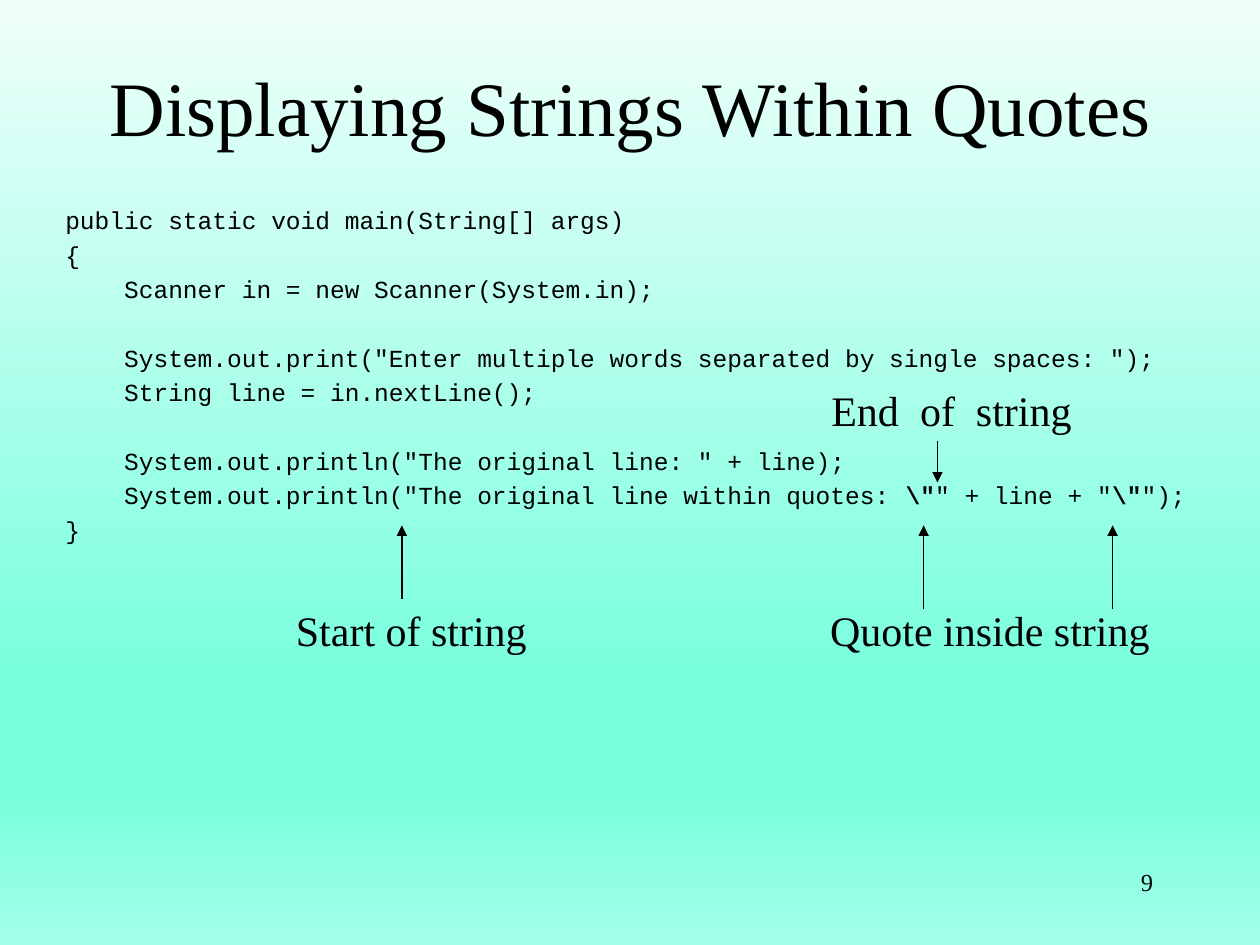
from dataclasses import dataclass

from lxml import etree
from pptx import Presentation
from pptx.dml.color import RGBColor
from pptx.enum.shapes import MSO_CONNECTOR
from pptx.enum.text import MSO_ANCHOR, PP_ALIGN
from pptx.oxml.ns import qn
from pptx.util import Inches, Pt

STRAIGHT = MSO_CONNECTOR.STRAIGHT
MIDDLE = MSO_ANCHOR.MIDDLE
LEFT, CENTER, RIGHT = PP_ALIGN.LEFT, PP_ALIGN.CENTER, PP_ALIGN.RIGHT

COLORS = {
    "text": "000000",
    "pale": "F0FFFB",
    "mint": "75FFDD",
    "light": "A3FFE8",
}
GRADIENT = [(0, "pale"), (74, "mint"), (83, "mint"), (100, "light")]
SERIF, MONO = "Times New Roman", "Courier New"

TITLE_ONLY = 5
CODE_GAP = 2.8  # points between code lines
BLANK_LINE = 19.8  # points taken by an empty code line

# Each block is set apart by an empty line; "**" switches bold on and off.
CODE_BLOCKS = [
    [
        "public static void main(String[] args)",
        "{",
        "    Scanner in = new Scanner(System.in);",
    ],
    [
        '    System.out.print("Enter multiple words separated by single spaces: ");',
        "    String line = in.nextLine();",
    ],
    [
        '    System.out.println("The original line: " + line);',
        '    System.out.println("The original line within quotes: '
        r'**\"**" + line + "**\"**");',
        "}",
    ],
]


@dataclass
class Label:
    text: str
    left: float
    top: float
    width: float


@dataclass
class Arrow:
    x: float
    start: float
    end: float


LABELS = [
    Label("End  of  string", 6.5, 3, 2.13),
    Label("Start of string", 2.25, 4.75, 2.05),
    Label("Quote inside string", 6.49, 4.75, 2.76),
]
ARROWS = [
    Arrow(7.44, 3.5, 3.83),
    Arrow(3.19, 4.75, 4.17),
    Arrow(7.33, 4.83, 4.17),
    Arrow(8.83, 4.83, 4.17),
]


def style_run(r, size: float, font: str = SERIF, bold: bool = False) -> None:
    r.font.size = Pt(size)
    r.font.name = font
    r.font.bold = bold
    r.font.color.rgb = RGBColor.from_string(COLORS["text"])


def set_background(s) -> None:
    fill = s.background.fill
    fill.gradient()
    fill.gradient_angle = 270
    stops = next(s.background._cSld.iter(qn("a:gsLst")))
    for stop in list(stops):
        stops.remove(stop)
    for percent, color in GRADIENT:
        stop = etree.SubElement(stops, qn("a:gs"), pos=str(percent * 1000))
        etree.SubElement(stop, qn("a:srgbClr"), val=COLORS[color])


def add_title(s, text: str) -> None:
    sp = s.shapes.title
    sp.left, sp.top = Inches(0.67), Inches(0.25)
    sp.width, sp.height = Inches(8.67), Inches(1.17)
    tf = sp.text_frame
    tf.text = text
    tf.vertical_anchor = MIDDLE
    p = tf.paragraphs[0]
    p.alignment = CENTER
    style_run(p.runs[0], 44)


def add_code(s) -> None:
    sp = s.shapes.add_textbox(Inches(0.42), Inches(1.58), Inches(9.33), Inches(5.5))
    tf = sp.text_frame
    tf.word_wrap = True
    for b, block in enumerate(CODE_BLOCKS):
        for i, line in enumerate(block):
            first = b == 0 and i == 0
            p = tf.paragraphs[0] if first else tf.add_paragraph()
            if not first:
                new_block = i == 0
                p.space_before = Pt(CODE_GAP + (BLANK_LINE if new_block else 0))
            for n, part in enumerate(line.split("**")):
                r = p.add_run()
                r.text = part
                style_run(r, 14, MONO, bold=n % 2 == 1)


def add_label(s, label: Label, size: float = 24, align=LEFT) -> None:
    sp = s.shapes.add_textbox(
        Inches(label.left), Inches(label.top), Inches(label.width), Inches(0.5)
    )
    tf = sp.text_frame
    tf.word_wrap = False
    tf.text = label.text
    p = tf.paragraphs[0]
    p.alignment = align
    style_run(p.runs[0], size)


def add_arrow(s, arrow: Arrow) -> None:
    x = Inches(arrow.x)
    line = s.shapes.add_connector(
        STRAIGHT, x, Inches(arrow.start), x, Inches(arrow.end)
    )
    line.line.width = Pt(0.75)
    line.line.color.rgb = RGBColor.from_string(COLORS["text"])
    etree.SubElement(line.line._get_or_add_ln(), qn("a:tailEnd"), type="triangle")
    etree.SubElement(line._element.spPr, qn("a:effectLst"))


def main() -> None:
    prs = Presentation()
    prs.slide_width, prs.slide_height = Inches(10), Inches(7.5)
    s = prs.slides.add_slide(prs.slide_layouts[TITLE_ONLY])
    set_background(s)
    add_title(s, "Displaying Strings Within Quotes")
    add_code(s)
    for label in LABELS:
        add_label(s, label)
    for arrow in ARROWS:
        add_arrow(s, arrow)
    add_label(s, Label("9", 7.17, 6.83, 2.08), size=14, align=RIGHT)
    prs.save("out.pptx")


if __name__ == "__main__":
    main()
